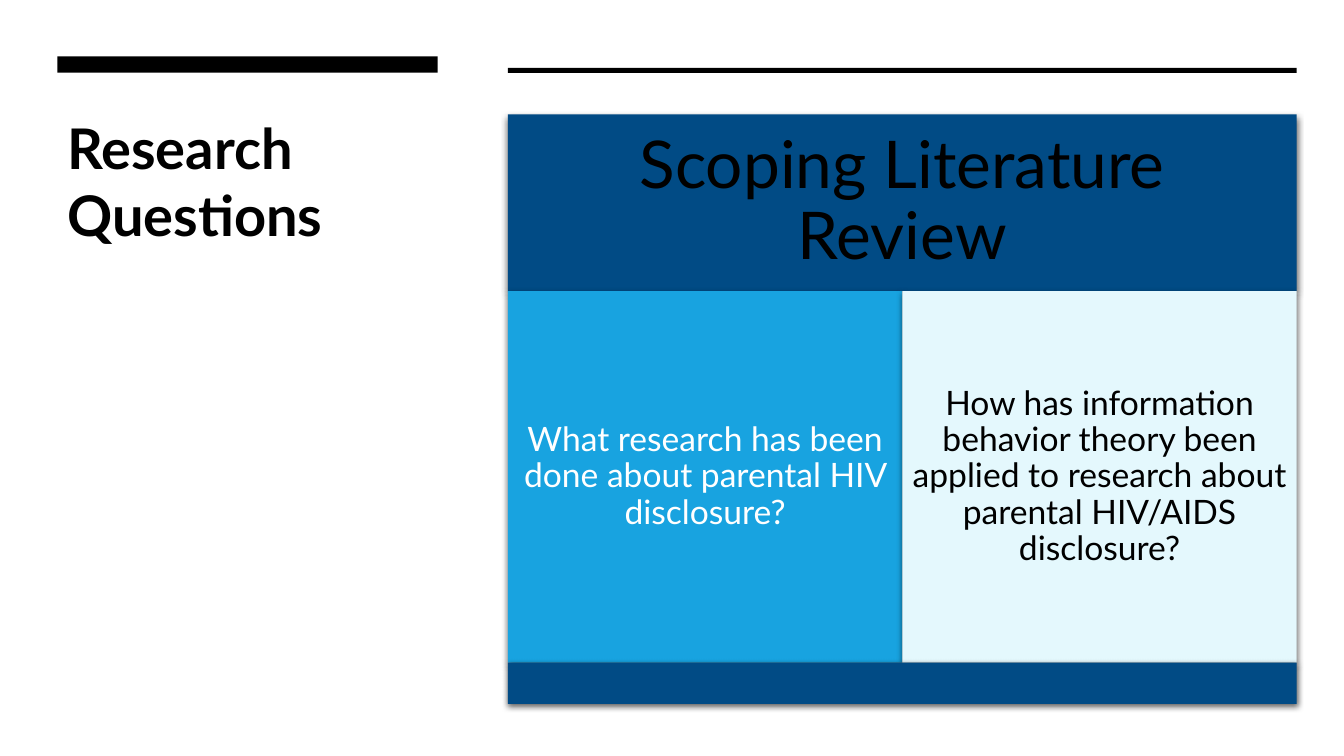
"""Build the Research Questions slide with its scoping review panel."""
import pptx
import pptx.dml.color
import pptx.enum.shapes
import pptx.enum.text
import pptx.oxml
import pptx.oxml.ns
import pptx.util

Cm = pptx.util.Cm
Pt = pptx.util.Pt
ALIGN = pptx.enum.text.PP_ALIGN
ANCHOR = pptx.enum.text.MSO_ANCHOR

THEME = {
    "font": "Lato",
    "black": "000000", "white": "FFFFFF",
    "navy": "014B85", "blue": "18A3E0", "pale": "E4F8FD",
    "title": 40, "heading": 47, "question": 24,
}
SHADOW = (
    f'<a:effectLst {pptx.oxml.ns.nsdecls("a")}>'
    '<a:outerShdw blurRad="57150" dist="19050" dir="5400000" algn="ctr" rotWithShape="0">'
    '<a:srgbClr val="000000"><a:alpha val="63000"/></a:srgbClr>'
    '</a:outerShdw></a:effectLst>'
)


def write(holder, text, size, color="black", bold=False, align=ALIGN.CENTER,
          anchor=ANCHOR.MIDDLE, spacing=0.9, inset=(0.25, 0.25)):
    frame = holder.text_frame
    frame.text = text
    frame.word_wrap = True
    frame.auto_size = pptx.enum.text.MSO_AUTO_SIZE.NONE
    frame.vertical_anchor = anchor
    frame.margin_left = frame.margin_right = Cm(inset[0])
    frame.margin_top = frame.margin_bottom = Cm(inset[1])
    paragraph = frame.paragraphs[0]
    paragraph.alignment = align
    paragraph.line_spacing = spacing
    font = paragraph.runs[0].font
    font.name = THEME["font"]
    font.size = Pt(THEME[size])
    font.bold = bold
    font.color.rgb = pptx.dml.color.RGBColor.from_string(THEME[color])


def block(left, top, width, height, color, shadow=False):
    area = slide.shapes.add_shape(pptx.enum.shapes.MSO_SHAPE.RECTANGLE,
                                  Cm(left), Cm(top), Cm(width), Cm(height))
    area.fill.solid()
    area.fill.fore_color.rgb = pptx.dml.color.RGBColor.from_string(THEME[color])
    area.line.fill.background()
    if shadow:
        area._element.spPr.append(pptx.oxml.parse_xml(SHADOW))
    else:
        area.shadow.inherit = False
    return area


deck = pptx.Presentation()
deck.slide_width, deck.slide_height = Cm(33.87), Cm(19.05)
slide = deck.slides.add_slide(deck.slide_layouts[5])

title = slide.shapes.title
title.left, title.top, title.width, title.height = Cm(1.45), Cm(2.72), Cm(9.78), Cm(4.93)
write(title, "Research Questions", "title", bold=True, align=ALIGN.LEFT,
      anchor=ANCHOR.TOP, spacing=1.0, inset=(0.25, 0.13))

panel_left, panel_top, panel_width = 12.8, 2.88, 19.88
heading_height, question_height, base_height = 4.46, 9.36, 1.04
question_top = panel_top + heading_height
question_width = panel_width / 2

block(1.45, 1.42, 9.58, 0.41, "black")
block(panel_left, 1.71, panel_width, 0.13, "black")

heading = block(panel_left, panel_top, panel_width, heading_height, "navy", shadow=True)
write(heading, "Scoping Literature Review", "heading", inset=(0.5, 0.5))

questions = [
    ("What research has been done about parental HIV disclosure?", "blue", "white"),
    ("How has information behavior theory been applied to research "
     "about parental HIV/AIDS disclosure?", "pale", "black"),
]
for column, (question, background, ink) in enumerate(questions):
    cell = block(panel_left + column * question_width, question_top,
                 question_width, question_height, background, shadow=True)
    write(cell, question, "question", color=ink)

block(panel_left, question_top + question_height, panel_width, base_height, "navy", shadow=True)

deck.save("out.pptx")
